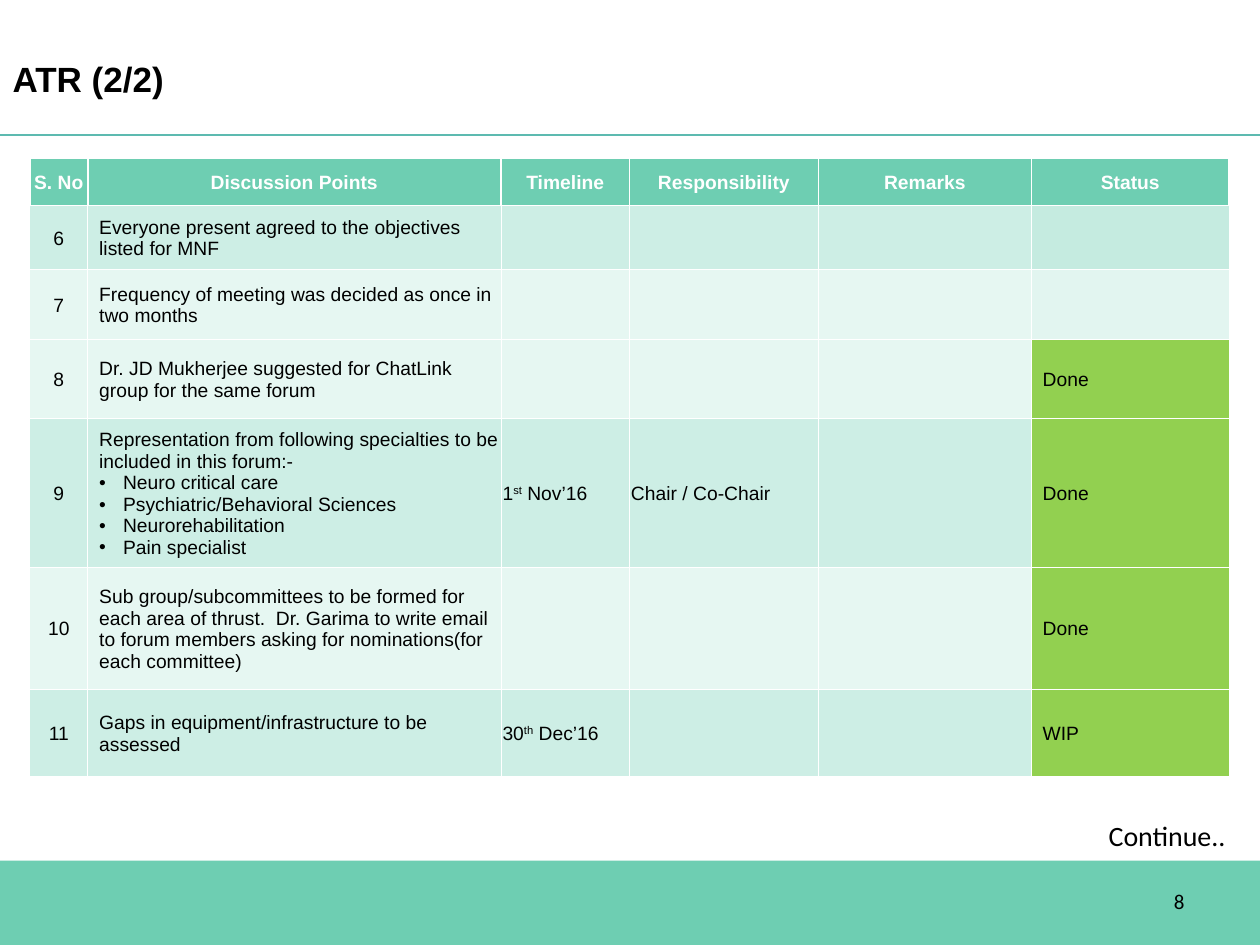
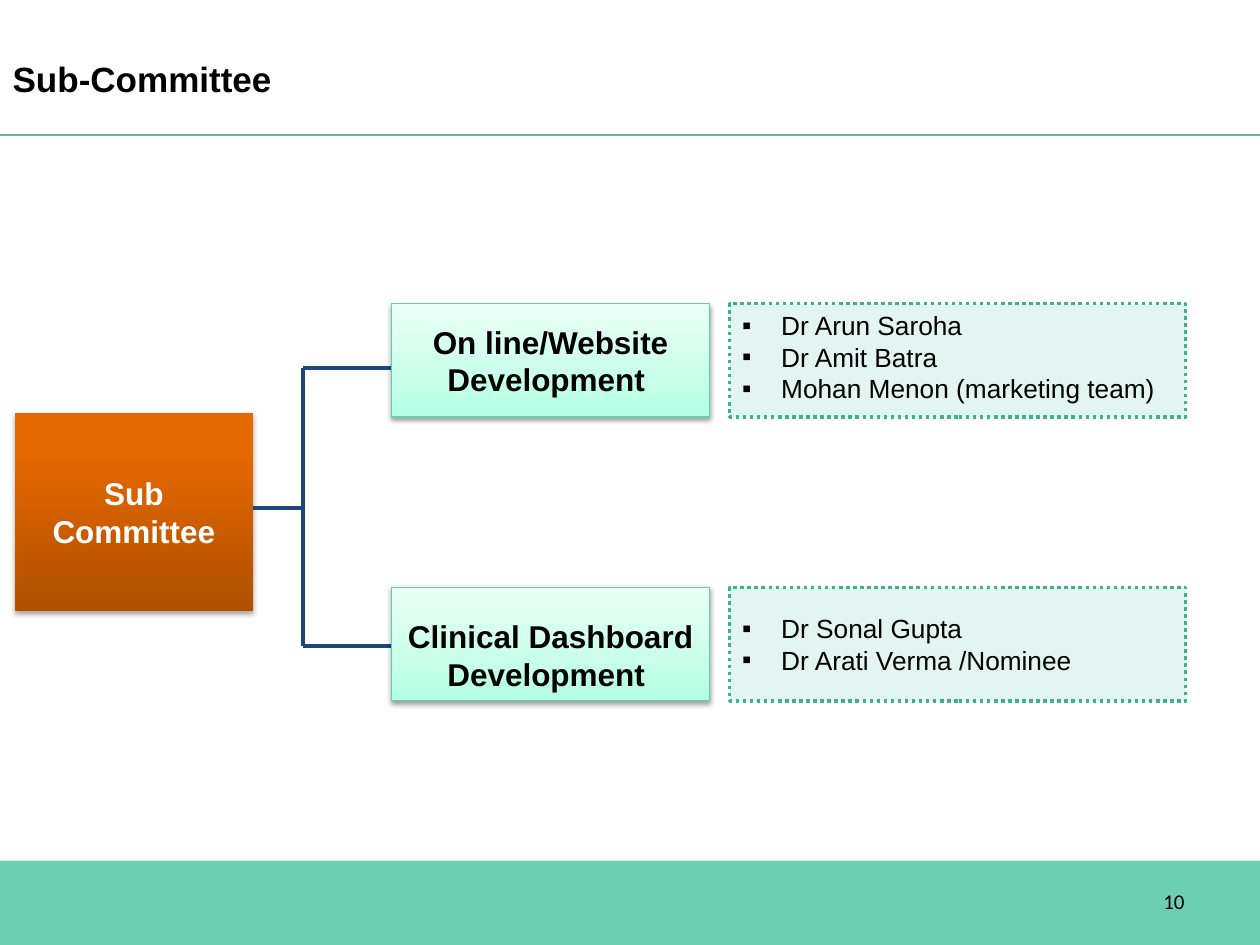
"""Build the forum action list and the sub-committee chart."""
from lxml import etree
from pptx import Presentation
from pptx.dml.color import RGBColor
from pptx.enum.dml import MSO_LINE
from pptx.enum.shapes import MSO_CONNECTOR, MSO_SHAPE
from pptx.enum.text import MSO_ANCHOR, MSO_AUTO_SIZE, PP_ALIGN
from pptx.oxml.ns import qn
from pptx.util import Cm, Pt

LEFT, CENTER, RIGHT = PP_ALIGN.LEFT, PP_ALIGN.CENTER, PP_ALIGN.RIGHT
TOP, MIDDLE = MSO_ANCHOR.TOP, MSO_ANCHOR.MIDDLE
RECTANGLE, STRAIGHT = MSO_SHAPE.RECTANGLE, MSO_CONNECTOR.STRAIGHT
DOTTED = MSO_LINE.ROUND_DOT
FIXED_SIZE = MSO_AUTO_SIZE.NONE
TITLE_ONLY = 5

WIDTH, HEIGHT = 25.4, 19.05
TEAL, RULE, BLACK, WHITE = "6ECEB2", "5DBAB0", "000000", "FFFFFF"
DARK_BAND, LIGHT_BAND, GREEN = "CDEEE5", "E6F7F2", "92D050"
DARK_STATUS, PALE_TEAL = "C5EBE0", "E2F5F0"
DOT_LINE, BOX_LINE, BRANCH = "3CB18F", "69CCAF", "1C477D"
MINT_STOPS = [(0, "B1FFE4"), (35, "C8FFEB"), (100, "EAFFF7")]
ORANGE_STOPS = [(0, "B05000"), (80, "E56800"), (100, "E66800")]
BULLETS = "•▪"

HEADINGS = ["S. No", "Discussion Points", "Timeline", "Responsibility",
            "Remarks", "Status"]
COLUMN_WIDTHS = [1.17, 8.33, 2.59, 3.81, 4.29, 3.99]
ROW_HEIGHTS = [0.94, 1.3, 1.4, 1.6, 3, 2.46, 1.75]
ACTIONS = [
    (DARK_BAND, "6", "Everyone present agreed to the objectives listed for MNF",
     "", "", "", ""),
    (LIGHT_BAND, "7", "Frequency of meeting was decided as once in two months",
     "", "", "", ""),
    (LIGHT_BAND, "8",
     "Dr. JD Mukherjee suggested for ChatLink group for the same forum",
     "", "", "", "Done"),
    (DARK_BAND, "9",
     "Representation from following specialties to be included in this forum:-\n"
     "•Neuro critical care\n•Psychiatric/Behavioral Sciences\n"
     "•Neurorehabilitation\n•Pain specialist",
     "1^st^ Nov’16", "Chair / Co-Chair", "", "Done"),
    (LIGHT_BAND, "10",
     "Sub group/subcommittees to be formed for each area of thrust.  "
     "Dr. Garima to write email to forum members asking for "
     "nominations(for each committee)",
     "", "", "", "Done"),
    (DARK_BAND, "11", "Gaps in equipment/infrastructure to be assessed",
     "30^th^ Dec’16", "", "", "WIP"),
]


def rgb(color):
    """Turn a hex string into a colour."""
    return RGBColor.from_string(color)


def add_color(parent, color, alpha=100):
    """Append a colour element to an XML parent."""
    node = etree.SubElement(parent, qn("a:srgbClr"), val=color)
    if alpha < 100:
        etree.SubElement(node, qn("a:alpha"), val=str(alpha * 1000))


def set_bullet(paragraph, char, indent):
    """Give a paragraph a bullet with a hanging indent in cm."""
    properties = paragraph._p.get_or_add_pPr()
    properties.set("marL", str(Cm(indent)))
    properties.set("indent", str(-Cm(indent)))
    etree.SubElement(properties, qn("a:buFont"), typeface="Arial")
    etree.SubElement(properties, qn("a:buChar"), char=char)


def write(frame, text, size=11, font="Arial", color=BLACK, bold=False,
          align=LEFT, anchor=MIDDLE, indent=0.48):
    """Write lines, where a leading bullet makes a list and ^ marks superscript."""
    frame.word_wrap = True
    frame.vertical_anchor = anchor
    for index, line in enumerate(text.split("\n")):
        paragraph = frame.paragraphs[0] if index == 0 else frame.add_paragraph()
        paragraph.alignment = align
        if line and line[0] in BULLETS:
            set_bullet(paragraph, line[0], indent)
            line = line[1:]
        for part_index, part in enumerate(line.split("^")):
            run = paragraph.add_run()
            run.text = part
            run.font.size, run.font.name, run.font.bold = Pt(size), font, bold
            run.font.color.rgb = rgb(color)
            if part_index % 2:
                run.font._element.set("baseline", "30000")


def add_label(slide, text, left, top, width, height, **style):
    """Add a wrapped text box."""
    box = slide.shapes.add_textbox(Cm(left), Cm(top), Cm(width), Cm(height))
    write(box.text_frame, text, **style)


def add_box(slide, left, top, width, height, fill=None, stops=None, line=None,
            line_width=0.75, shadow=None):
    """Add a rectangle with a solid or upward gradient fill."""
    box = slide.shapes.add_shape(RECTANGLE, Cm(left), Cm(top), Cm(width), Cm(height))
    box.shadow.inherit = False
    if stops:
        box.fill.gradient()
        box.fill.gradient_angle = 90
        stop_list = box.element.spPr.find(".//" + qn("a:gsLst"))
        for stop in list(stop_list):
            stop_list.remove(stop)
        for position, color in stops:
            add_color(etree.SubElement(stop_list, qn("a:gs"),
                                       pos=str(position * 1000)), color)
    else:
        box.fill.solid()
        box.fill.fore_color.rgb = rgb(fill)
    if line:
        box.line.color.rgb = rgb(line)
        box.line.width = Pt(line_width)
    else:
        box.line.fill.background()
    if shadow:
        alpha, distance = shadow
        effects = box.element.spPr.find(qn("a:effectLst"))
        outer = etree.SubElement(effects, qn("a:outerShdw"), blurRad=str(Pt(3.1)),
                                 dist=str(Pt(distance)), dir="5400000",
                                 rotWithShape="0")
        add_color(outer, BLACK, alpha)
    return box


def add_line(slide, start, end, color, width):
    """Add a straight line between two points in cm."""
    line = slide.shapes.add_connector(STRAIGHT, *map(Cm, start + end))
    line.line.color.rgb = rgb(color)
    line.line.width = Pt(width)
    etree.SubElement(line.element.spPr, qn("a:effectLst"))


def add_titled_slide(deck, title, number):
    """Add a slide with its title, rule, footer band and page number."""
    slide = deck.slides.add_slide(deck.slide_layouts[TITLE_ONLY])
    heading = slide.shapes.title
    heading.left, heading.top = Cm(0), Cm(0.41)
    heading.width, heading.height = Cm(22.86), Cm(2.34)
    heading.text_frame.auto_size = FIXED_SIZE
    write(heading.text_frame, title, size=20, bold=True)
    add_box(slide, 0, 17.35, WIDTH, HEIGHT - 17.35, fill=TEAL)
    add_line(slide, (0, 2.72), (WIDTH, 2.72), RULE, 0.75)
    add_label(slide, number, 18.21, 17.65, 5.92, 1.02, size=12, font="Calibri",
              align=RIGHT)
    return slide


def fill_cell(cell, text, fill, side_border=0.5, inset=0.03, **style):
    """Fill one table cell with its borders, colour and text."""
    properties = cell._tc.get_or_add_tcPr()
    for side, width in zip("LRTB", (side_border, side_border, 0.5, 0.5)):
        border = etree.SubElement(properties, qn("a:ln" + side), w=str(Pt(width)))
        add_color(etree.SubElement(border, qn("a:solidFill")), WHITE)
    cell.fill.solid()
    cell.fill.fore_color.rgb = rgb(fill)
    cell.margin_left = Cm(inset)
    cell.margin_right = cell.margin_top = Cm(0.03)
    cell.margin_bottom = Cm(0)
    cell.vertical_anchor = MIDDLE
    if text:
        write(cell.text_frame, text, **style)


def add_action_table(slide):
    """Add the table of discussion points."""
    table = slide.shapes.add_table(
        len(ROW_HEIGHTS), len(COLUMN_WIDTHS), Cm(0.6), Cm(3.2),
        Cm(sum(COLUMN_WIDTHS)), Cm(sum(ROW_HEIGHTS))).table
    for column, width in zip(table.columns, COLUMN_WIDTHS):
        column.width = Cm(width)
    for row, height in zip(table.rows, ROW_HEIGHTS):
        row.height = Cm(height)
    for column, heading in enumerate(HEADINGS):
        fill_cell(table.cell(0, column), heading, TEAL, side_border=1,
                  color=WHITE, bold=True, align=CENTER)
    for row, (band, *texts) in enumerate(ACTIONS, start=1):
        pale_status = DARK_STATUS if band == DARK_BAND else PALE_TEAL
        status_fill = GREEN if texts[-1] else pale_status
        for column, text in enumerate(texts):
            heading = HEADINGS[column]
            fill_cell(table.cell(row, column), text,
                      status_fill if heading == "Status" else band,
                      inset=0.23 if heading in ("Discussion Points", "Status") else 0.03,
                      align=CENTER if heading == "S. No" else LEFT)


def add_committee(slide, top, name, members, name_inset=0.13, anchor=MIDDLE):
    """Add one sub-committee and the list of its members."""
    height = 2.29
    roster = add_box(slide, 14.71, top, 9.19, height, fill=PALE_TEAL,
                     line=DOT_LINE, line_width=2)
    roster.line.dash_style = DOTTED
    write(roster.text_frame, members, size=15, anchor=anchor, indent=0.79)
    committee = add_box(slide, 7.9, top, 6.4, height, stops=MINT_STOPS,
                        line=BOX_LINE, shadow=(38, 1.6))
    committee.text_frame.margin_top = Cm(name_inset)
    write(committee.text_frame, name, size=18, bold=True, align=CENTER)


def main():
    """Build and save both slides."""
    deck = Presentation()
    deck.slide_width, deck.slide_height = Cm(WIDTH), Cm(HEIGHT)

    actions = add_titled_slide(deck, "ATR (2/2)", "8")
    add_action_table(actions)
    add_label(actions, "Continue..", 22.1, 16.38, 3, 0.94, size=16,
              font="Calibri", anchor=TOP)

    committees = add_titled_slide(deck, "Sub-Committee", "10")
    root = add_box(committees, 0.3, 8.33, 4.8, 3.99, stops=ORANGE_STOPS,
                   shadow=(35, 1.8))
    write(root.text_frame, "Sub Committee", size=18, color=WHITE, bold=True,
          align=CENTER)
    trunk, upper, lower, stem = 6.1, 7.42, 13.03, 10.24
    for start, end in [((trunk, upper), (trunk, lower)),
                       ((7.9, upper), (trunk, upper)),
                       ((7.9, lower), (trunk, lower)),
                       ((trunk, stem), (5.1, stem))]:
        add_line(committees, start, end, BRANCH, 2.25)
    add_committee(committees, 6.12, "On line/Website Development ",
                  "▪Dr Arun Saroha\n▪Dr Amit Batra\n▪Mohan Menon (marketing team)",
                  anchor=TOP)
    add_committee(committees, 11.84, "Clinical Dashboard Development ",
                  "▪Dr Sonal Gupta\n▪Dr Arati Verma /Nominee", name_inset=0.55)
    deck.save("out.pptx")


if __name__ == "__main__":
    main()
